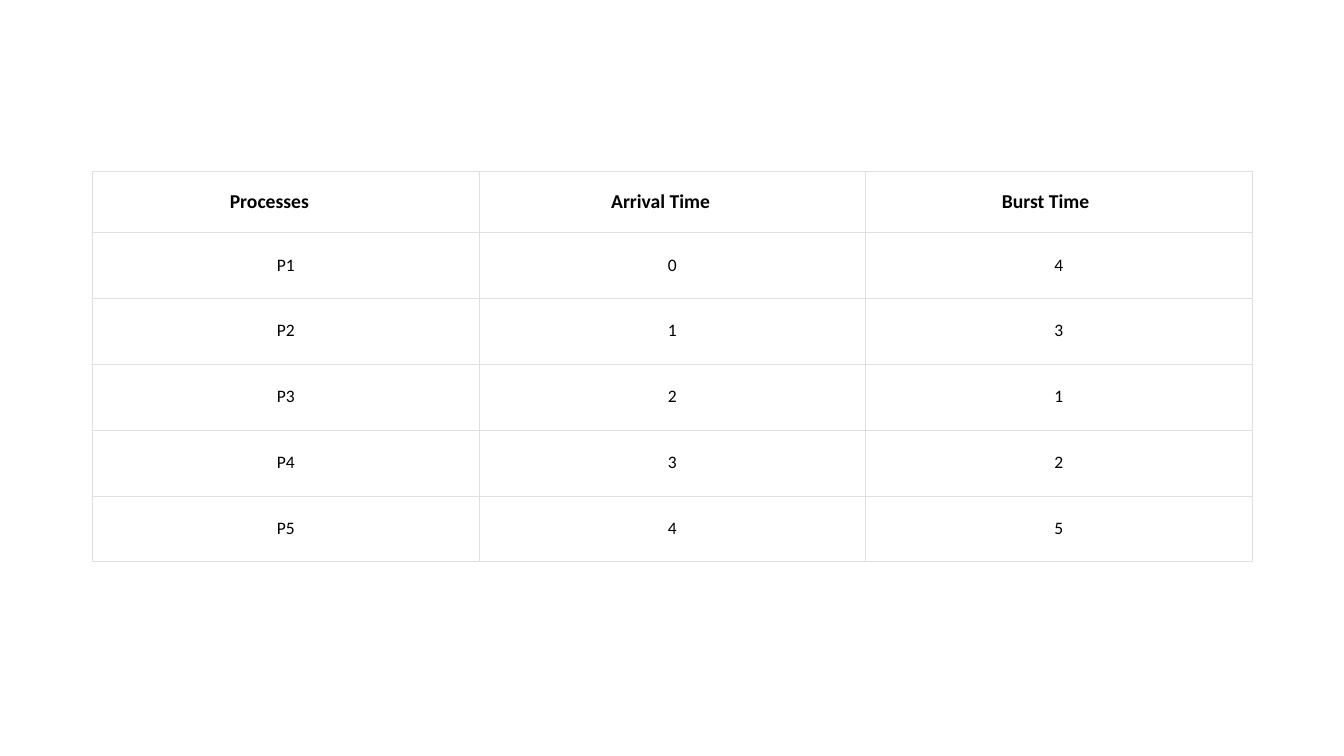
from dataclasses import dataclass

from lxml.etree import SubElement
from pptx import Presentation
from pptx.dml.color import RGBColor
from pptx.enum.text import MSO_ANCHOR, PP_ALIGN
from pptx.oxml.ns import qn
from pptx.table import _Cell
from pptx.util import Cm, Pt

BORDER_COLOR = "DFDFDF"
BORDER_WIDTH = Pt(0.15)
COLUMN_WIDTH = 9.74
HEADER_HEIGHT = 1.54
PROCESS_HEIGHT = 1.66


@dataclass(frozen=True)
class Heading:
    text: str
    left_margin: float
    right_margin: float


@dataclass(frozen=True)
class Process:
    name: str
    arrival_time: int
    burst_time: int


HEADINGS = [
    Heading("Processes", 0.1, 0.92),
    Heading("Arrival Time", 0.18, 0.76),
    Heading("Burst Time", 0.18, 0.84),
]
PROCESSES = [
    Process("P1", 0, 4),
    Process("P2", 1, 3),
    Process("P3", 2, 1),
    Process("P4", 3, 2),
    Process("P5", 4, 5),
]


def color(value: str) -> RGBColor:
    return RGBColor.from_string(value)


def draw_borders(cell: _Cell) -> None:
    properties = cell._tc.get_or_add_tcPr()
    for position, side in enumerate(("lnL", "lnR", "lnT", "lnB")):
        line = SubElement(properties, qn(f"a:{side}"), w=str(BORDER_WIDTH))
        fill = SubElement(line, qn("a:solidFill"))
        SubElement(fill, qn("a:srgbClr"), val=BORDER_COLOR)
        properties.insert(position, line)


def write_cell(cell: _Cell, text: str, *, size: float, bold: bool = False,
               left: float = 0.18, right: float = 0.18, vertical: float = 0.25) -> None:
    cell.fill.solid()
    cell.fill.fore_color.rgb = color("FFFFFF")
    cell.vertical_anchor = MSO_ANCHOR.MIDDLE
    cell.margin_left, cell.margin_right = Cm(left), Cm(right)
    cell.margin_top = cell.margin_bottom = Cm(vertical)
    paragraph = cell.text_frame.paragraphs[0]
    paragraph.alignment = PP_ALIGN.CENTER
    run = paragraph.add_run()
    run.text = text
    run.font.name = "Calibri"
    run.font.size = Pt(size)
    run.font.bold = bold
    run.font.color.rgb = color("000000")
    draw_borders(cell)


def main() -> None:
    presentation = Presentation()
    presentation.slide_width, presentation.slide_height = Cm(33.87), Cm(19.05)
    slide = presentation.slides.add_slide(presentation.slide_layouts[6])

    table = slide.shapes.add_table(
        len(PROCESSES) + 1, len(HEADINGS), Cm(2.33), Cm(4.31),
        Cm(COLUMN_WIDTH * len(HEADINGS)),
        Cm(HEADER_HEIGHT + PROCESS_HEIGHT * len(PROCESSES)),
    ).table
    table.horz_banding = False

    table.rows[0].height = Cm(HEADER_HEIGHT)
    for column, heading in enumerate(HEADINGS):
        table.columns[column].width = Cm(COLUMN_WIDTH)
        write_cell(table.cell(0, column), heading.text, size=14, bold=True,
                   left=heading.left_margin, right=heading.right_margin, vertical=0.18)

    for row, process in enumerate(PROCESSES, start=1):
        table.rows[row].height = Cm(PROCESS_HEIGHT)
        values = (process.name, process.arrival_time, process.burst_time)
        for column, value in enumerate(values):
            write_cell(table.cell(row, column), str(value), size=12.5)

    presentation.save("out.pptx")


if __name__ == "__main__":
    main()
